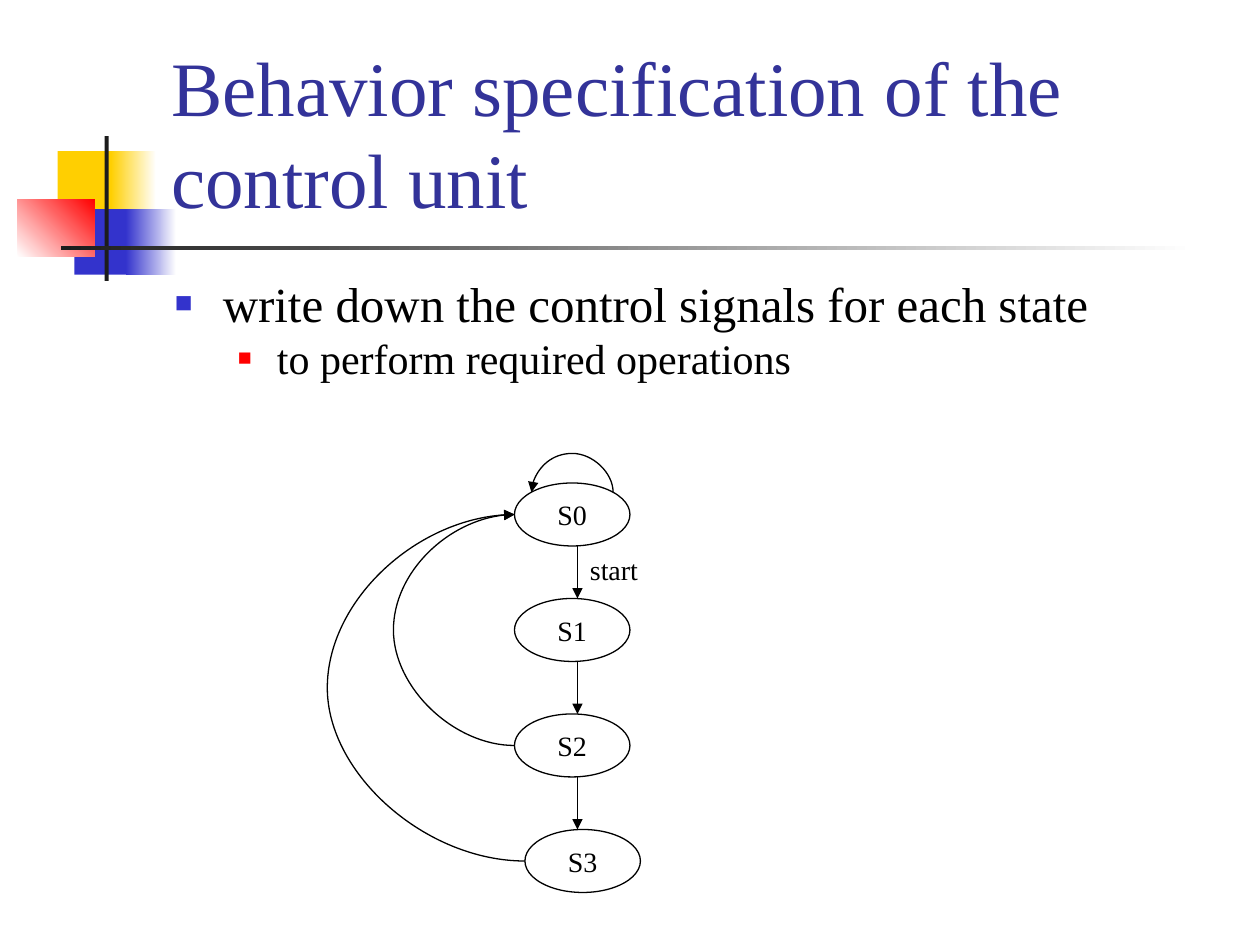
from dataclasses import dataclass
from math import sqrt

from lxml.etree import SubElement
from pptx import Presentation
from pptx.dml.color import RGBColor
from pptx.enum.shapes import MSO_CONNECTOR as Link, MSO_SHAPE as Shape
from pptx.enum.text import MSO_ANCHOR as Anchor, PP_ALIGN as Align
from pptx.oxml.ns import qn
from pptx.util import Emu, Inches, Pt

COLUMNS, ROWS = 120, 90  # square cells, twelve to the inch
SLIVER = 0.02  # width in cells of a curve whose two ends are level


@dataclass(frozen=True)
class Theme:
    font: str = "Times New Roman"
    title: str = "333399"
    ink: str = "000000"
    dark: str = "1C1C1C"
    yellow: str = "FFCF01"
    blue: str = "3333CC"
    red: str = "FF0000"
    paper: str = "FFFFFF"
    title_size: float = 44
    body_size: float = 28
    sub_size: float = 24
    label_size: float = 16
    line_width: float = 0.75


class SlideBuilder:
    def __init__(self, deck, theme):
        self.theme = theme
        self.slide = deck.slides.add_slide(deck.slide_layouts[6])
        self.cell = deck.slide_width / COLUMNS

    def cells(self, *lengths):
        return [Emu(round(length * self.cell)) for length in lengths]

    def add_span(self, para, text, size, color):
        span = para.add_run()
        span.text = text
        formats = {"name": self.theme.font, "size": Pt(size)}
        for name, value in formats.items():
            setattr(span.font, name, value)
        span.font.color.rgb = RGBColor.from_string(color)

    def block(self, at, *colors, angle=0):
        """A borderless rectangle, plain with one colour and graded with two."""
        block = self.slide.shapes.add_shape(Shape.RECTANGLE, *self.cells(*at))
        block.shadow.inherit = False
        block.line.fill.background()
        if len(colors) == 1:
            block.fill.solid()
            block.fill.fore_color.rgb = RGBColor.from_string(colors[0])
            return
        block.fill.gradient()
        block.fill.gradient_angle = angle
        for stop, color in zip(block.fill.gradient_stops, colors):
            stop.color.rgb = RGBColor.from_string(color)

    def text(self, at, text, size, color, wrap=True, anchor=Anchor.TOP):
        frame = self.slide.shapes.add_textbox(*self.cells(*at)).text_frame
        frame.word_wrap = wrap
        frame.vertical_anchor = anchor
        self.add_span(frame.paragraphs[0], text, size, color)

    def bullets(self, at, items):
        """Items are (text, size, bullet colour, bullet percent, margin, hanging, space before)."""
        frame = self.slide.shapes.add_textbox(*self.cells(*at)).text_frame
        frame.word_wrap = True
        for index, (text, size, color, percent, margin, hanging, space) in enumerate(items):
            para = frame.add_paragraph() if index else frame.paragraphs[0]
            para.level = index
            para.line_spacing = 0.8
            para.space_before = Pt(space)
            props = para._p.get_or_add_pPr()
            props.set("marL", str(Inches(margin)))
            props.set("indent", str(-Inches(hanging)))
            SubElement(SubElement(props, qn("a:buClr")), qn("a:srgbClr"), val=color)
            SubElement(props, qn("a:buSzPct"), val=str(percent * 1000))
            SubElement(props, qn("a:buFont"), typeface=self.theme.font)
            SubElement(props, qn("a:buChar"), char="■")
            self.add_span(para, text, size, self.theme.ink)

    def state(self, at, name):
        state = self.slide.shapes.add_shape(Shape.OVAL, *self.cells(*at))
        state.shadow.inherit = False
        state.fill.background()
        state.line.color.rgb = RGBColor.from_string(self.theme.ink)
        state.line.width = Pt(self.theme.line_width)
        frame = state.text_frame
        frame.word_wrap = False
        frame.vertical_anchor = Anchor.MIDDLE
        frame.paragraphs[0].alignment = Align.CENTER
        self.add_span(frame.paragraphs[0], name, self.theme.label_size, self.theme.ink)

    def arrow(self, start, end, kind=Link.STRAIGHT):
        arrow = self.slide.shapes.add_connector(kind, *self.cells(*start, *end))
        arrow.line.color.rgb = RGBColor.from_string(self.theme.ink)
        arrow.line.width = Pt(self.theme.line_width)
        SubElement(arrow.line._get_or_add_ln(), qn("a:tailEnd"), type="triangle")
        SubElement(arrow._element.spPr, qn("a:effectLst"))
        return arrow

    def curve(self, at, bulge, rotation, flips=""):
        """An arrow bowed by bulge cells, in a box that is flipped, then turned."""
        left, top, width, height = at
        arrow = self.arrow((left, top), (left + width, top + height), Link.CURVE)
        shape = arrow._element.spPr
        frame = shape.find(qn("a:xfrm"))
        frame.set("rot", str(rotation * 60000))
        for axis in flips:
            frame.set("flip" + axis, "1")
        guides = shape.find(qn("a:prstGeom")).find(qn("a:avLst"))
        SubElement(guides, qn("a:gd"), name="adj1", fmla=f"val {round(bulge / width * 100000)}")


def draw_decoration(page, theme):
    page.block((5.5, 14.4, 5.76, 6.24), theme.yellow)
    page.block((10.56, 14.4, 4.32, 6.24), theme.yellow, theme.paper)
    page.block((7.08, 19.92, 5.52, 6.24), theme.blue)
    page.block((12, 19.92, 4.8, 6.24), theme.blue, theme.paper)
    page.block((1.68, 18.96, 7.32, 5.52), theme.paper, theme.red, angle=45)
    page.block((9.96, 12.96, 0.4, 13.8), theme.dark)
    page.block((5.8, 23.4, 108, 0.4), theme.dark, theme.paper)


def draw_states(page, theme):
    left, top, width, height, pitch = 49, 46, 11, 6, 11
    shift = 1  # the last state stands one column further right
    tops = [top + pitch * index for index in range(4)]
    for index, y in enumerate(tops):
        x = left + shift * (index == 3)
        page.state((x, y, width, height), f"S{index}")
    for y, following in zip(tops, tops[1:]):
        page.arrow((55, y + height), (55, following))
    page.text((55, 52, 7.08, 4.44), "start", theme.label_size, theme.ink, wrap=False)

    middle = top + height / 2
    span = width / sqrt(2)
    shoulder = middle - height / 2 / sqrt(2)
    page.curve((left + width / 2, shoulder - span / 2, SLIVER, span), -3.9, 270, "HV")
    page.curve((left, middle, SLIVER, 2 * pitch), -12.2, 180, "H")
    page.curve((left, middle, shift, 3 * pitch), 18.8, 180)


def main():
    deck = Presentation()
    deck.slide_width, deck.slide_height = Inches(10), Inches(7.5)
    theme = Theme()
    page = SlideBuilder(deck, theme)
    draw_decoration(page, theme)
    page.text((15.12, 2.76, 102.24, 19.2), "Behavior specification of the control unit",
              theme.title_size, theme.title, anchor=Anchor.BOTTOM)
    page.bullets((15.48, 26.52, 102, 10.56), [
        ("write down the control signals for each state",
         theme.body_size, theme.blue, 60, 0.38, 0.38, 0),
        ("to perform required operations",
         theme.sub_size, theme.red, 55, 0.81, 0.31, 6),
    ])
    draw_states(page, theme)
    deck.save("out.pptx")


if __name__ == "__main__":
    main()
